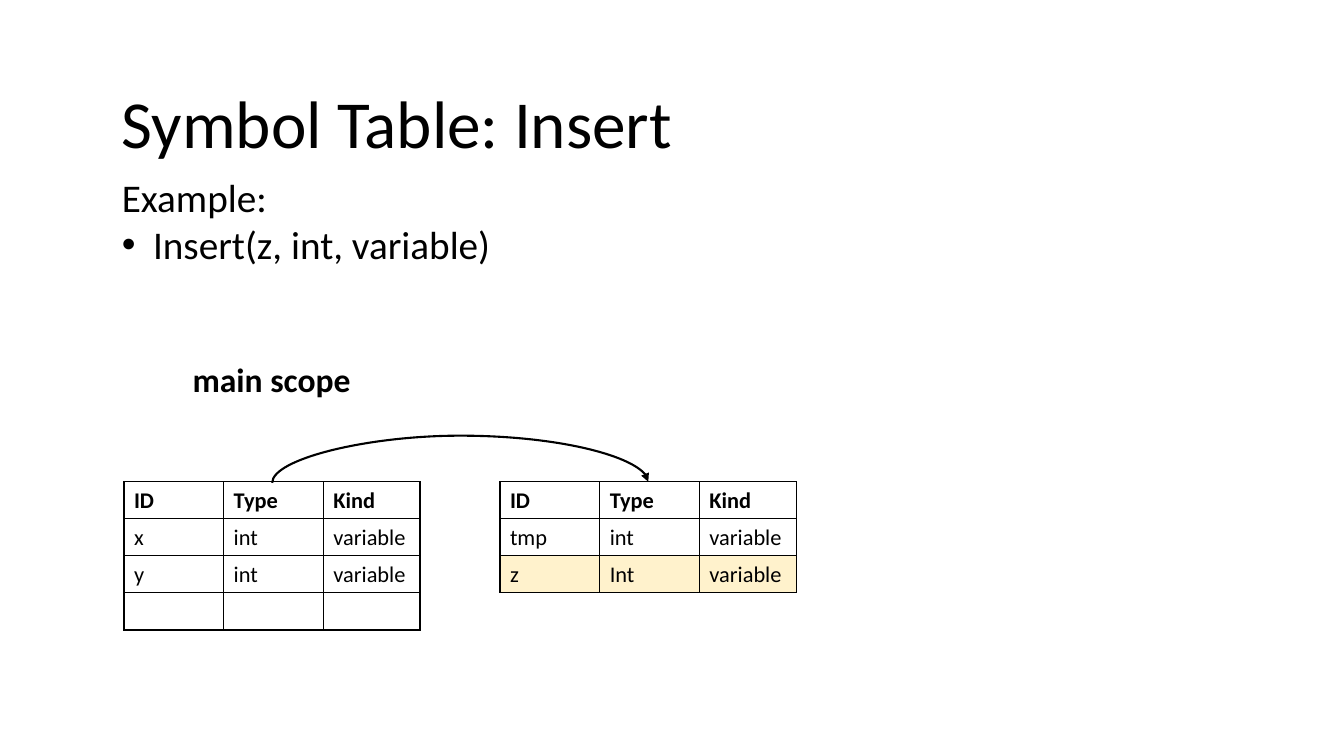
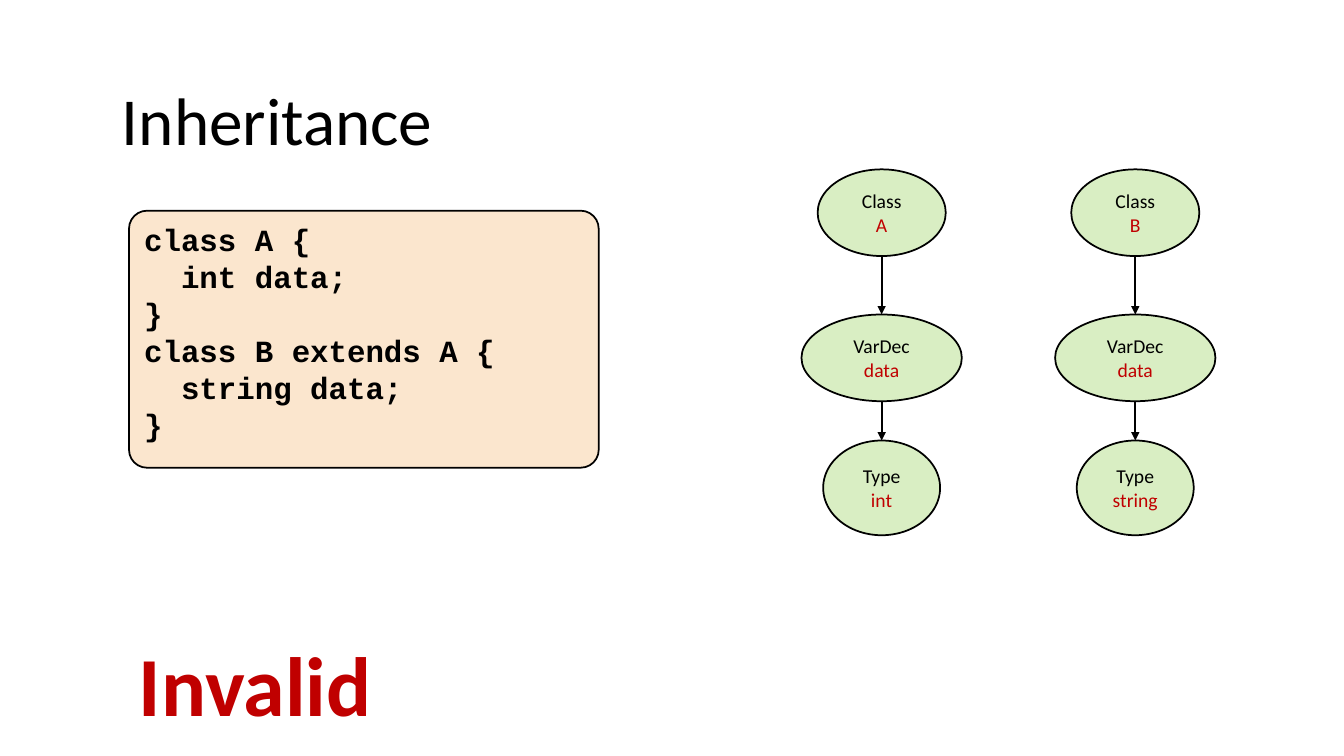
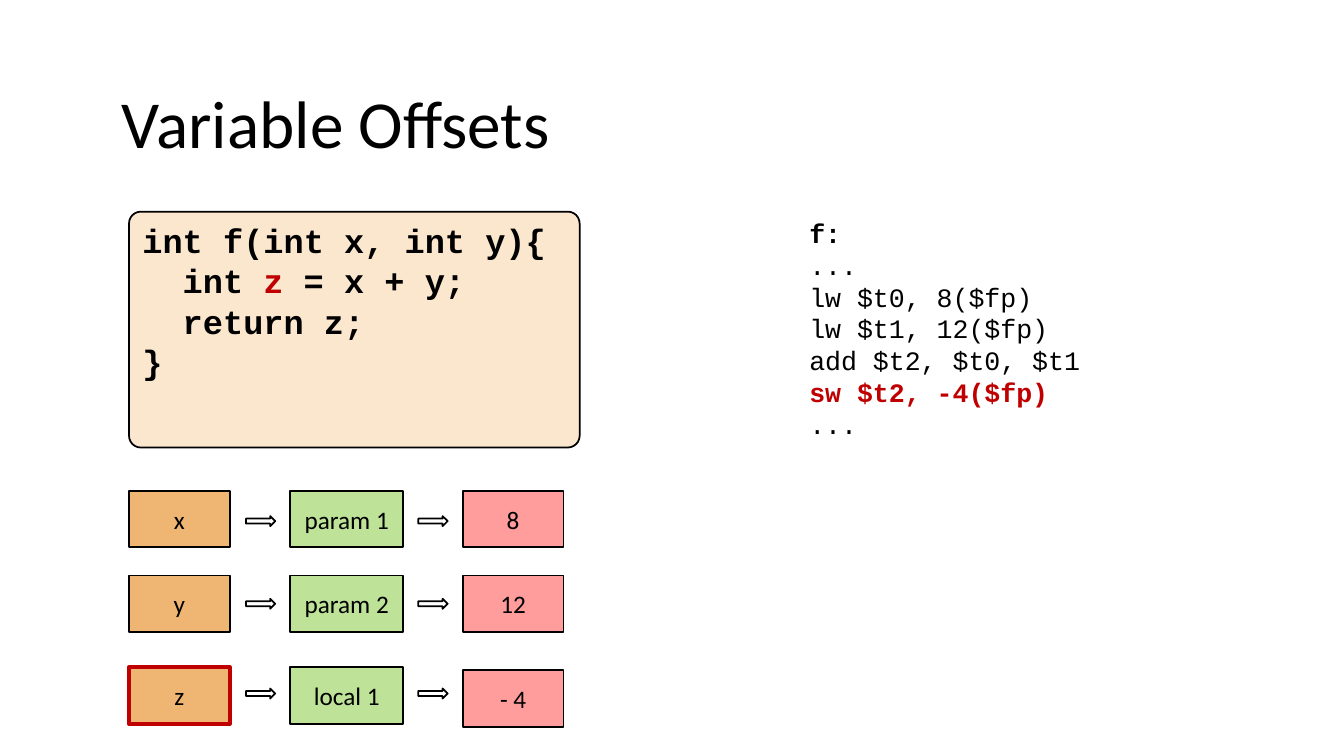
from lxml import etree
from pptx import Presentation
from pptx.dml.color import RGBColor
from pptx.enum.shapes import MSO_CONNECTOR as Link, MSO_SHAPE as Preset
from pptx.enum.text import MSO_ANCHOR as Anchor, PP_ALIGN as Align
from pptx.oxml.ns import qn
from pptx.util import Inches, Pt

BLACK = RGBColor(0x00, 0x00, 0x00)
WHITE = RGBColor(0xFF, 0xFF, 0xFF)
CRIMSON = RGBColor(0xC0, 0x00, 0x00)
RED = RGBColor(0xFF, 0x00, 0x00)
GREEN = RGBColor(0x92, 0xD0, 0x50)
ORANGE = RGBColor(0xE4, 0x83, 0x12)
CREAM = RGBColor(0xFB, 0xE6, 0xCE)
PALE_GOLD = RGBColor(0xFF, 0xF2, 0xCC)

BODY_FONT, CODE_FONT = "Calibri", "Courier New"
TITLE = {"size": Pt(48)}
BODY = {"size": Pt(28)}
SCOPE = {"size": Pt(24), "bold": True}
CELL = {"size": Pt(16)}
NODE = {"size": Pt(14)}
STEP = {"size": Pt(18)}
VERDICT = {"size": Pt(60), "bold": True, "color": CRIMSON}
CLASS_CODE = {"size": Pt(22), "bold": True, "name": CODE_FONT}
FUNCTION_CODE = {"size": Pt(24), "bold": True, "name": CODE_FONT}
ASSEMBLY = {"size": Pt(19), "name": CODE_FONT}

deck = Presentation()
deck.slide_width, deck.slide_height = Inches(13.33), Inches(7.5)
COL, ROW = deck.slide_width / 100, deck.slide_height / 100
MARGIN, CODE_LEFT = 8.33, 9.6


def write(frame, lines, style, align=Align.LEFT, anchor=Anchor.TOP):
    """Fill a frame; a line is a string or a list of (text, style changes)."""
    frame.word_wrap, frame.vertical_anchor = True, anchor
    for number, line in enumerate(lines):
        paragraph = frame.paragraphs[0] if number == 0 else frame.add_paragraph()
        paragraph.alignment = align
        for text, changes in [(line, {})] if isinstance(line, str) else line:
            run = paragraph.add_run()
            run.text = text
            values = {"name": BODY_FONT, "color": BLACK, **style, **changes}
            run.font.color.rgb = values.pop("color")
            for attribute, value in values.items():
                setattr(run.font, attribute, value)


def draw(slide, preset, box, fill, opacity=100, line=BLACK, weight=1.25):
    """Add an outlined shape; box is left, top, width, height in grid units."""
    left, top, width, height = box
    shape = slide.shapes.add_shape(
        preset, int(left * COL), int(top * ROW), int(width * COL), int(height * ROW))
    shape.shadow.inherit = False
    shape.fill.solid()
    shape.fill.fore_color.rgb = fill
    if opacity < 100:
        tint = shape._element.spPr.find(qn("a:solidFill"))[0]
        etree.SubElement(tint, qn("a:alpha"), val=str(opacity * 1000))
    shape.line.color.rgb, shape.line.width = line, Pt(weight)
    return shape


insert, inheritance, offsets = [
    deck.slides.add_slide(deck.slide_layouts[6]) for _ in range(3)]

# Text boxes of all slides
text_boxes = [
    (insert, (MARGIN, 10.13, 83.18, 12.13), ["Symbol Table: Insert"], TITLE, Align.LEFT),
    (insert, (12.15, 46.8, 16.12, 6.67), ["main scope"], SCOPE, Align.CENTER),
    (insert, (MARGIN, 22.27, 83.18, 20.13),
     ["Example:", "Insert(z, int, variable)"], BODY, Align.LEFT),
    (inheritance, (MARGIN, 9.73, 83.18, 12.13), ["Inheritance"], TITLE, Align.LEFT),
    (inheritance, (CODE_LEFT, 83.07, 22.95, 14.8), ["Invalid"], VERDICT, Align.LEFT),
    (offsets, (MARGIN, 10.13, 83.18, 12.13), ["Variable Offsets"], TITLE, Align.LEFT),
    (offsets, (59.48, 28, 25.73, 31.2),
     [[("f:", {"bold": True})], "...", "lw $t0, 8($fp)", "lw $t1, 12($fp)",
      "add $t2, $t0, $t1", [("sw $t2, -4($fp)", {"bold": True, "color": CRIMSON})],
      "..."], ASSEMBLY, Align.LEFT),
]
for slide, (left, top, width, height), lines, style, align in text_boxes:
    box = slide.shapes.add_textbox(
        int(left * COL), int(top * ROW), int(width * COL), int(height * ROW))
    write(box.text_frame, lines, style, align)
    if style is BODY:
        bullet = box.text_frame.paragraphs[1]._p.get_or_add_pPr()
        bullet.set("marL", str(Inches(0.31)))
        bullet.set("indent", str(-Inches(0.31)))
        etree.SubElement(bullet, qn("a:buFont"), typeface="Arial")
        etree.SubElement(bullet, qn("a:buChar"), char="•")

# Code boxes
code_boxes = [
    (inheritance, (CODE_LEFT, 27.87, 34.95, 34), 0.07, CLASS_CODE,
     ["class A {", "  int data;", "}", "class B extends A {", "  string data;", "}"]),
    (offsets, (CODE_LEFT, 28, 33.53, 31.2), 0.05, FUNCTION_CODE,
     ["int f(int x, int y){",
      [("  int ", {}), ("z", {"color": CRIMSON}), (" = x + y;", {})],
      "  return z;", "}"]),
]
for slide, place, corner, style, lines in code_boxes:
    code_box = draw(slide, Preset.ROUNDED_RECTANGLE, place, CREAM)
    code_box.adjustments[0] = corner
    write(code_box.text_frame, lines, style)

# Insert: symbol tables
HEADINGS = ("ID", "Type", "Kind")
COLUMN_WIDTHS = (7.42, 7.42, 7.2)
ROW_HEIGHT = 4.9
symbol_tables = [
    (9.22, [HEADINGS, ("x", "int", "variable"), ("y", "int", "variable"), ("", "", "")]),
    (37.2, [HEADINGS, ("tmp", "int", "variable"), ("z", "Int", "variable")]),
]
for left, entries in symbol_tables:
    table = insert.shapes.add_table(
        len(entries), len(HEADINGS), int(left * COL), int(63.73 * ROW),
        int(sum(COLUMN_WIDTHS) * COL), int(len(entries) * ROW_HEIGHT * ROW)).table
    table.first_row = table.horz_banding = False
    for column, width in zip(table.columns, COLUMN_WIDTHS):
        column.width = int(width * COL)
    for row, entry in zip(table.rows, entries):
        row.height = int(ROW_HEIGHT * ROW)
        for cell, text in zip(row.cells, entry):
            borders = cell._tc.get_or_add_tcPr()
            for side in ("a:lnL", "a:lnR", "a:lnT", "a:lnB"):
                border = etree.SubElement(borders, qn(side), w=str(Pt(1)))
                ink = etree.SubElement(border, qn("a:solidFill"))
                etree.SubElement(ink, qn("a:srgbClr"), val=str(BLACK))
            cell.fill.solid()
            cell.fill.fore_color.rgb = PALE_GOLD if entry[0] == "z" else WHITE
            if text:
                write(cell.text_frame, [text], {**CELL, "bold": entry is HEADINGS})
            else:
                etree.SubElement(cell.text_frame.paragraphs[0]._p,
                                 qn("a:endParaRPr"), sz="1600")

# The arc is a tall thin connector turned by a quarter
arc = insert.shapes.add_connector(
    Link.CURVE, int(34.28 * COL), int(88.67 * ROW), int(34.2 * COL), int(38.93 * ROW))
arc._element.spPr.find(qn("a:xfrm")).set("rot", "5400000")
bends = arc._element.spPr.find(qn("a:prstGeom")).find(qn("a:avLst"))
etree.SubElement(bends, qn("a:gd"), name="adj1", fmla="val 4400000")
arrows = [arc]

# Inheritance: syntax trees
LEVELS = [("Class", 22.4, 9.53, 11.47), ("VarDec", 41.6, 11.93, 11.47),
          ("Type", 58.27, 8.7, 12.53)]
for center, names in [(65.6, ("A", "data", "int")), (84.47, ("B", "data", "string"))]:
    parent_bottom = None
    for (kind, top, width, height), name in zip(LEVELS, names):
        node = draw(inheritance, Preset.OVAL,
                    (center - width / 2, top, width, height), GREEN, 34)
        write(node.text_frame, [kind, [(name, {"color": CRIMSON})]], NODE,
              Align.CENTER, Anchor.MIDDLE)
        if parent_bottom:
            arrows.append(inheritance.shapes.add_connector(
                Link.STRAIGHT, int(center * COL), int(parent_bottom * ROW),
                int(center * COL), int(top * ROW)))
        parent_bottom = top + height

for arrow in arrows:
    arrow.line.color.rgb, arrow.line.width = BLACK, Pt(1.5)
    etree.SubElement(arrow.line._get_or_add_ln(), qn("a:tailEnd"), type="triangle")
    etree.SubElement(arrow._element.spPr, qn("a:effectLst"))

# Variable Offsets: variable, role and frame offset
STAGES = [(9.6, 7.5, ORANGE, 59), (21.6, 8.4, GREEN, 59), (34.43, 7.5, RED, 39)]
variables = [
    (64.93, 64.93, 68.27, ("x", "param 1", "8")),
    (76.13, 76.13, 79.2, ("y", "param 2", "12")),
    (88.27, 88.67, 91.07, ("z", "local 1", "- 4")),
]
for top, offset_top, arrow_top, labels in variables:
    for (left, width, fill, opacity), label in zip(STAGES, labels):
        line, weight = (CRIMSON, 3) if label == "z" else (BLACK, 1.25)
        stage_top = offset_top if fill is RED else top
        stage = draw(offsets, Preset.RECTANGLE, (left, stage_top, width, 7.47),
                     fill, opacity, line, weight)
        write(stage.text_frame, [label], STEP, Align.CENTER, Anchor.MIDDLE)
    for arrow_left in (18.3, 31.13):
        draw(offsets, Preset.RIGHT_ARROW, (arrow_left, arrow_top, 2.18, 1.33), WHITE)

deck.save("out.pptx")
